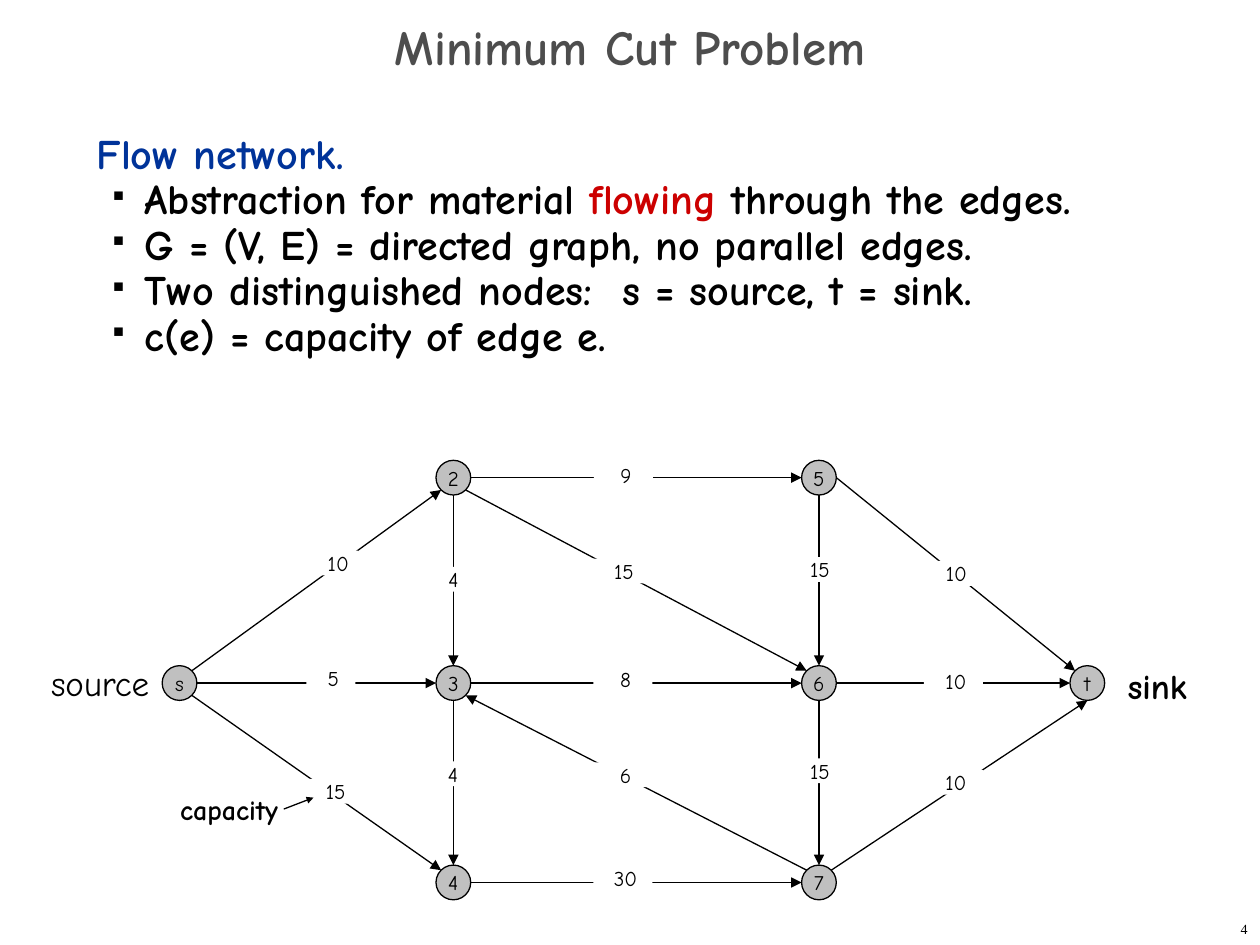
from collections import namedtuple
from math import sqrt

from lxml import etree
from pptx import Presentation
from pptx.dml.color import RGBColor
from pptx.enum.shapes import MSO_CONNECTOR, MSO_SHAPE
from pptx.enum.text import MSO_ANCHOR, PP_ALIGN
from pptx.oxml.ns import qn
from pptx.util import Cm, Pt

STRAIGHT = MSO_CONNECTOR.STRAIGHT
OVAL, RECTANGLE = MSO_SHAPE.OVAL, MSO_SHAPE.RECTANGLE
TOP, MIDDLE = MSO_ANCHOR.TOP, MSO_ANCHOR.MIDDLE
LEFT, CENTER, RIGHT = PP_ALIGN.LEFT, PP_ALIGN.CENTER, PP_ALIGN.RIGHT

BLACK = RGBColor(0x00, 0x00, 0x00)
WHITE = RGBColor(0xFF, 0xFF, 0xFF)
NODE_GRAY = RGBColor(0xC0, 0xC0, 0xC0)
TITLE_GRAY = RGBColor(0x4D, 0x4D, 0x4D)
BLUE = RGBColor(0x00, 0x33, 0x99)
RED = RGBColor(0xCC, 0x00, 0x00)
COMIC, TIMES = "Comic Neue", "Times New Roman"

Box = namedtuple("Box", "left top width height")

NODE_SIZE = 0.7
COLUMNS = (2.84, 8.36, 15.73, 21.14)
ROWS = (0.36, 4.5, 8.52)
NODES = {"s": (0, 1), "2": (1, 0), "3": (1, 1), "4": (1, 2),
         "5": (2, 0), "6": (2, 1), "7": (2, 2), "t": (3, 1)}

DIAGONAL = 1 / sqrt(2)
SITES = {"N": (0, -1), "E": (1, 0), "S": (0, 1), "W": (-1, 0),
         "NE": (DIAGONAL, -DIAGONAL), "SE": (DIAGONAL, DIAGONAL),
         "SW": (-DIAGONAL, DIAGONAL), "NW": (-DIAGONAL, -DIAGONAL)}

Edge = namedtuple("Edge", "start start_site end end_site capacity x y width inset",
                  defaults=(1.19, 0.1))
EDGES = (
    Edge("s", "NE", "2", "SW", "10", 5.84, 2.08, inset=0.4),
    Edge("s", "E", "3", "W", "5", 5.89, 4.4, width=0.99),
    Edge("s", "SE", "4", "NW", "15", 5.94, 6.68),
    Edge("2", "E", "5", "W", "9", 11.79, 0.31),
    Edge("2", "SE", "6", "NW", "15", 11.75, 2.24),
    Edge("2", "S", "3", "N", "4", 8.31, 2.41),
    Edge("3", "E", "6", "W", "8", 11.78, 4.42),
    Edge("3", "S", "4", "N", "4", 8.3, 6.33),
    Edge("4", "E", "7", "W", "30", 11.78, 8.43),
    Edge("7", "NW", "3", "SE", "6", 11.78, 6.35),
    Edge("5", "S", "6", "N", "15", 15.7, 2.21),
    Edge("6", "S", "7", "N", "15", 15.7, 6.27),
    Edge("5", "E", "t", "NW", "10", 18.3, 2.29, inset=0.4),
    Edge("6", "E", "t", "W", "10", 18.44, 4.47),
    Edge("7", "NE", "t", "S", "10", 18.44, 6.5),
)

BULLETS = (
    (("Abstraction for material ", BLACK), ("flowing", RED), (" through the edges.", BLACK)),
    (("G = (V, E) = directed graph, no parallel edges.", BLACK),),
    (("Two distinguished nodes:  s = source, t = sink.", BLACK),),
    (("c(e) = capacity of edge e.", BLACK),),
)


def to_cm(box):
    """Convert a box of centimetre numbers to lengths."""
    return [Cm(value) for value in box]


def add_run(paragraph, text, size, color=BLACK, bold=False, font=COMIC):
    """Append one formatted run."""
    run = paragraph.add_run()
    run.text = text
    run.font.size = Pt(size)
    run.font.name = font
    run.font.bold = bold
    run.font.color.rgb = color


def add_text_box(slide, box, anchor=TOP, wrap=True, alignment=LEFT):
    """Add a text box and return its first paragraph and its frame."""
    frame = slide.shapes.add_textbox(*to_cm(box)).text_frame
    frame.word_wrap = wrap
    frame.vertical_anchor = anchor
    paragraph = frame.paragraphs[0]
    paragraph.alignment = alignment
    return paragraph, frame


def add_filled_shape(slide, kind, box, text, fill, inset=0, outlined=False):
    """Add a filled shape with a centred 12 point label."""
    shape = slide.shapes.add_shape(kind, *to_cm(box))
    shape.shadow.inherit = False
    shape.fill.solid()
    shape.fill.fore_color.rgb = fill
    if outlined:
        shape.line.color.rgb = BLACK
        shape.line.width = Pt(0.75)
    else:
        shape.line.fill.background()
    frame = shape.text_frame
    frame.margin_left = Cm(inset)
    frame.margin_right = frame.margin_top = frame.margin_bottom = 0
    frame.word_wrap = not outlined
    frame.vertical_anchor = MIDDLE
    frame.paragraphs[0].alignment = CENTER
    add_run(frame.paragraphs[0], text, 12)


def add_arrow(slide, start, end, head_size="med"):
    """Draw a straight arrow between two points."""
    arrow = slide.shapes.add_connector(STRAIGHT, *to_cm((*start, *end)))
    arrow.line.color.rgb = BLACK
    arrow.line.width = Pt(0.75)
    etree.SubElement(arrow.line._get_or_add_ln(), qn("a:tailEnd"),
                     type="triangle", w=head_size, len=head_size)
    etree.SubElement(arrow._element.spPr, qn("a:effectLst"))


def add_bullet(paragraph):
    """Give a paragraph a small black square bullet."""
    properties = paragraph._p.get_or_add_pPr()
    properties.set("marL", str(Cm(0.97)))
    properties.set("indent", str(-Cm(0.64)))
    color = etree.SubElement(properties, qn("a:buClr"))
    etree.SubElement(color, qn("a:srgbClr"), val=str(BLACK))
    etree.SubElement(properties, qn("a:buSzPct"), val="35000")
    etree.SubElement(properties, qn("a:buChar"), char="■")


def add_title(slide, box):
    """Place the slide title."""
    paragraph, _ = add_text_box(slide, box, MIDDLE, alignment=CENTER)
    paragraph.line_spacing = 0.7
    add_run(paragraph, "Minimum Cut Problem", 28, TITLE_GRAY, True)


def add_definition(slide, box):
    """Place the heading and the bullets that define a flow network."""
    heading, frame = add_text_box(slide, box)
    heading.line_spacing = Pt(26)
    add_run(heading, "Flow network.", 24, BLUE, True)
    for runs in BULLETS:
        paragraph = frame.add_paragraph()
        paragraph.line_spacing = Pt(26)
        add_bullet(paragraph)
        for text, color in runs:
            add_run(paragraph, text, 24, color, True)


def add_network(slide, box):
    """Draw edges, nodes, capacities and captions of the flow network."""
    radius = NODE_SIZE / 2
    centers = {name: (box.left + COLUMNS[column], box.top + ROWS[row])
               for name, (column, row) in NODES.items()}

    def site_point(name, site):
        """Return the point of a node's rim in the given direction."""
        return [center + radius * offset
                for center, offset in zip(centers[name], SITES[site])]

    for edge in EDGES:
        add_arrow(slide, site_point(edge.start, edge.start_site),
                  site_point(edge.end, edge.end_site))
    for name, (x, y) in centers.items():
        node_box = Box(x - radius, y - radius, NODE_SIZE, NODE_SIZE)
        add_filled_shape(slide, OVAL, node_box, name, NODE_GRAY, outlined=True)
    for edge in EDGES:
        label_box = Box(box.left + edge.x - edge.width / 2, box.top + edge.y - 0.25,
                        edge.width, 0.5)
        add_filled_shape(slide, RECTANGLE, label_box, edge.capacity, WHITE, edge.inset)
    for text, x, y, width, height, size, bold in (
            ("source", 0, 3.94, 2.51, 1.09, 20, False),
            ("sink", 21.7, 4.01, 1.7, 1.09, 20, True),
            ("capacity", 2.6, 6.58, 2.49, 0.94, 16, True)):
        caption_box = Box(box.left + x, box.top + y, width, height)
        paragraph, _ = add_text_box(slide, caption_box, wrap=False)
        add_run(paragraph, text, size, bold=bold)
    add_arrow(slide, (box.left + 4.94, box.top + 7.04),
              (box.left + 5.54, box.top + 6.81), "sm")


def add_page_number(slide, box):
    """Place the page number."""
    paragraph, _ = add_text_box(slide, box, MIDDLE, alignment=RIGHT)
    add_run(paragraph, "4", 8, font=TIMES)


def main():
    """Build and save the presentation."""
    presentation = Presentation()
    presentation.slide_width, presentation.slide_height = Cm(25.4), Cm(19.05)
    slide = presentation.slides.add_slide(presentation.slide_layouts[6])
    add_definition(slide, Box(1.7, 2.54, 21.8, 15.04))
    add_title(slide, Box(0, 0.43, 25.4, 1.27))
    add_network(slide, Box(0.78, 9.27, 23.4, 8.87))
    add_page_number(slide, Box(20.12, 18.42, 5.28, 0.63))
    presentation.save("out.pptx")


if __name__ == "__main__":
    main()
